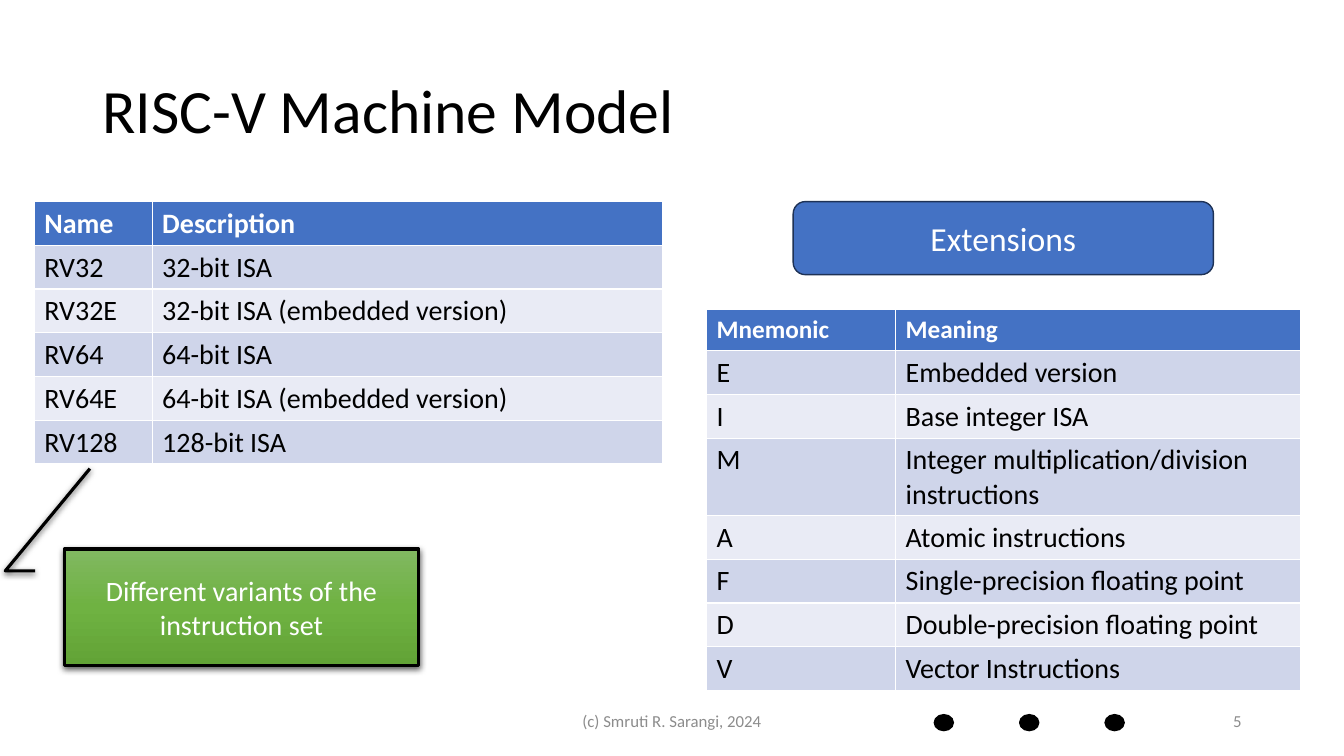
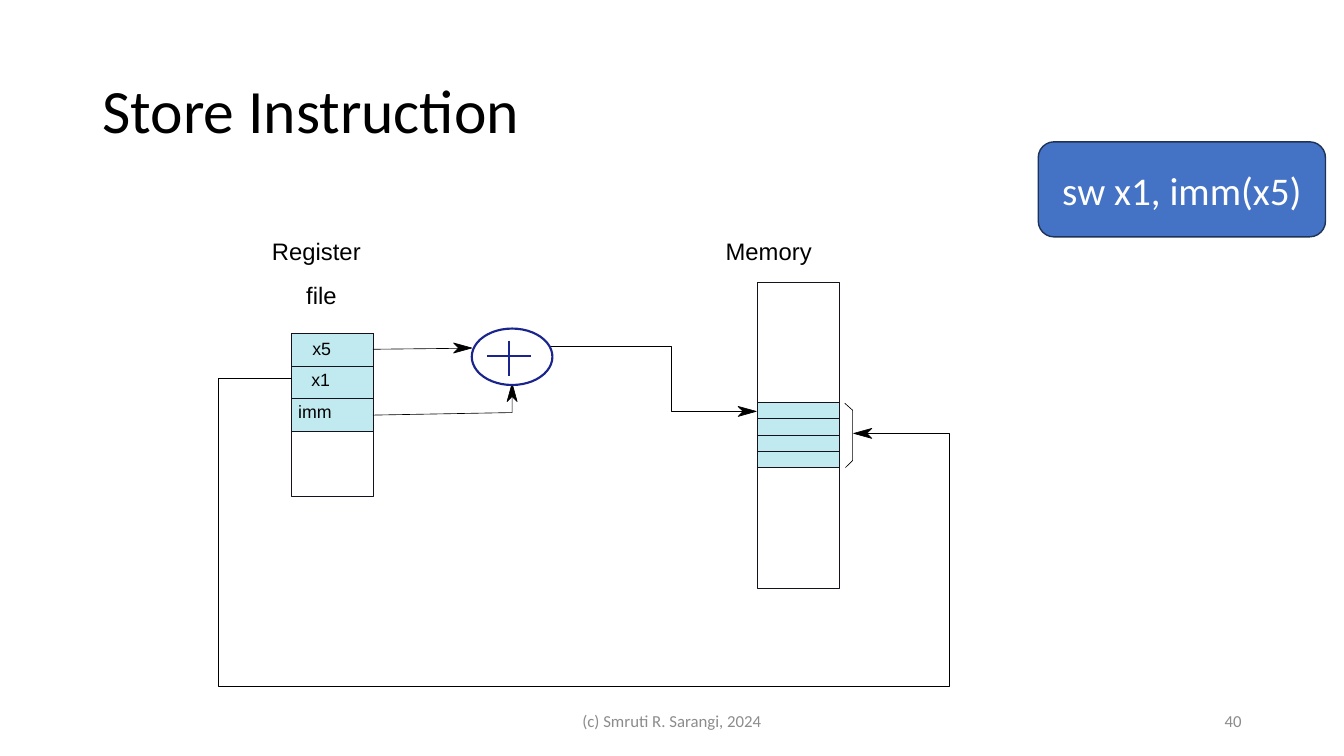
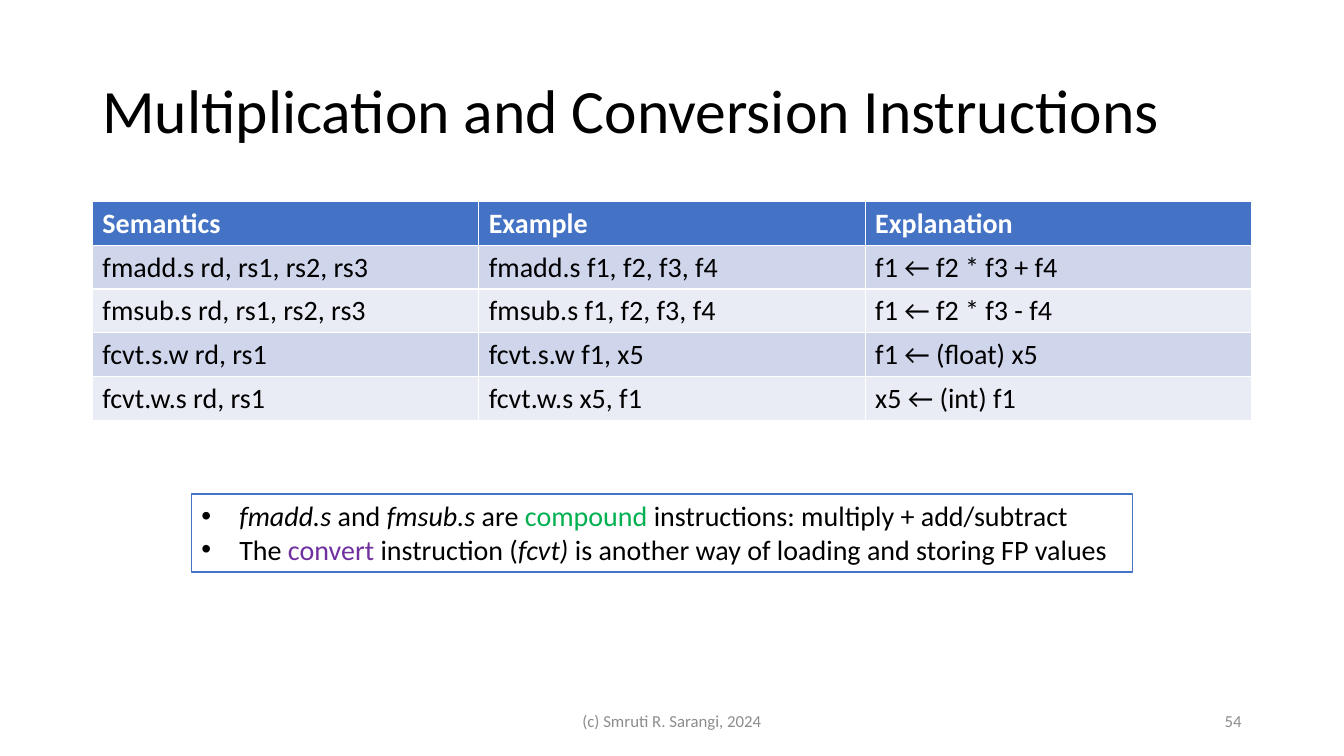
"""Build three lecture slides on the RISC-V instruction set."""
from dataclasses import dataclass

from pptx import Presentation
from pptx.dml.color import RGBColor
from pptx.enum.shapes import MSO_CONNECTOR, MSO_SHAPE
from pptx.enum.text import MSO_ANCHOR, PP_ALIGN
from pptx.oxml import parse_xml
from pptx.oxml.ns import nsdecls, qn
from pptx.util import Pt

LEFT, CENTER, RIGHT = PP_ALIGN.LEFT, PP_ALIGN.CENTER, PP_ALIGN.RIGHT
TOP, MIDDLE = MSO_ANCHOR.TOP, MSO_ANCHOR.MIDDLE
RECT, ROUNDED, OVAL = MSO_SHAPE.RECTANGLE, MSO_SHAPE.ROUNDED_RECTANGLE, MSO_SHAPE.OVAL
CALLOUT = MSO_SHAPE.LINE_CALLOUT_2
STRAIGHT = MSO_CONNECTOR.STRAIGHT


@dataclass(frozen=True)
class Theme:
    """Colours, fonts and type sizes."""
    font: str = "Calibri"
    diagram_font: str = "Arial"
    black: str = "000000"
    white: str = "FFFFFF"
    grey: str = "8C8C8C"
    blue: str = "4472C4"
    blue_edge: str = "1E3256"
    bands: tuple = ("CFD5EA", "E9EBF5")
    cell: str = "C1EAF0"
    cell_edge: str = "15111D"
    adder: str = "19258D"
    green: str = "00B050"
    purple: str = "7030A0"
    callout: tuple = ((0, "81B861"), (50, "6FB242"), (100, "62A336"))
    title: float = 44
    command: float = 28
    heading: float = 24
    body: float = 20
    small_header: float = 18
    diagram_label: float = 17
    register: float = 12.7
    footer: float = 12
    hairline: float = 0.45
    adder_line: float = 1.52


T = Theme()

FOOTER = "(c) Smruti R. Sarangi, 2024"
MODEL = {"title": "RISC-V Machine Model", "number": "5"}
STORE = {"title": "Store Instruction", "number": "40"}
CONVERSION = {"title": "Multiplication and Conversion Instructions", "number": "54"}

VARIANTS = [
    ("Name", "Description"),
    ("RV32", "32-bit ISA"),
    ("RV32E", "32-bit ISA (embedded version)"),
    ("RV64", "64-bit ISA"),
    ("RV64E", "64-bit ISA (embedded version)"),
    ("RV128", "128-bit ISA"),
]
VARIANTS_NOTE = "Different variants of the instruction set"
VARIANTS_POINTER = (0.188, -0.083, 0.188, -0.167, -0.692, 0.072)
EXTENSIONS = [
    ("Mnemonic", "Meaning"),
    ("E", "Embedded version"),
    ("I", "Base integer ISA"),
    ("M", "Integer multiplication/division instructions"),
    ("A", "Atomic instructions"),
    ("F", "Single-precision floating point"),
    ("D", "Double-precision floating point"),
    ("V", "Vector Instructions"),
]
FP_INSTRUCTIONS = [
    ("Semantics", "Example", "Explanation"),
    ("fmadd.s rd, rs1, rs2, rs3", "fmadd.s f1, f2, f3, f4", "f1 ← f2 * f3 + f4"),
    ("fmsub.s rd, rs1, rs2, rs3", "fmsub.s f1, f2, f3, f4", "f1 ← f2 * f3 - f4"),
    ("fcvt.s.w rd, rs1", "fcvt.s.w f1, x5", "f1 ← (float) x5"),
    ("fcvt.w.s rd, rs1", "fcvt.w.s x5, f1", "x5 ← (int) f1"),
]
ITALIC, GREEN, PURPLE = {"italic": True}, {"color": T.green}, {"color": T.purple}
FP_NOTES = [
    [("fmadd.s", ITALIC), (" and ", {}), ("fmsub.s", ITALIC), (" are ", {}),
     ("compound", GREEN), (" instructions: multiply + add/subtract", {})],
    [("The ", {}), ("convert", PURPLE), (" instruction (", {}), ("fcvt) ", ITALIC),
     ("is another way of loading and storing FP values", {})],
]

DIAGRAM_LABELS = [
    ("Register", (187.2, 165.6, 126, 39.6), T.diagram_label),
    ("file", (211.7, 197.3, 56, 39.6), T.diagram_label),
    ("Memory", (511.2, 165.6, 126, 39.6), T.diagram_label),
    ("x5", (216, 237.6, 41, 29.5), T.register),
    ("x1", (215.3, 260, 41, 29.5), T.register),
    ("imm", (205.9, 283, 60, 29.5), T.register),
]
REGISTER_FILE = {"frame": (208.4, 238.3, 58, 116), "first": 238.3, "height": 23.2, "count": 3}
MEMORY = {"frame": (540.9, 201.6, 58.4, 219), "first": 287.3, "height": 11.7, "count": 4}
ADDER = (337, 234.7, 57.6, 40.3)
PLUS = [[(347.8, 254.5), (379.4, 254.5)], [(363.4, 243.4), (363.4, 268.6)]]
WIRES = [
    [(266.4, 249.5), (328, 248.8)],
    [(266.4, 296.5), (365.8, 294.7), (365.8, 281)],
    [(391, 247.6), (479.5, 247.6), (479.5, 293.9), (531, 293.9)],
    [(619.2, 309.6), (678.2, 309.6), (678.2, 490), (156.2, 490), (156.2, 270), (208.4, 270)],
    [(603.4, 288), (609, 293), (609, 329), (603.9, 334)],
]
ARROW_TIPS = [
    ((337, 248.6), (1, 0)),
    ((365.8, 273.8), (0, -1)),
    ((540.2, 293.9), (1, 0)),
    ((609.8, 309.6), (-1, 0)),
]


def rgb(color):
    return RGBColor.from_string(color)


def add_run(paragraph, text, size, color=T.black, font=T.font, bold=False, italic=False):
    run = paragraph.add_run()
    run.text = text
    run.font.name, run.font.size = font, Pt(size)
    run.font.bold, run.font.italic = bold, italic
    run.font.color.rgb = rgb(color)


def write(frame, text, size, align=LEFT, anchor=MIDDLE, **style):
    frame.word_wrap = True
    frame.vertical_anchor = anchor
    paragraph = frame.paragraphs[0]
    paragraph.alignment = align
    add_run(paragraph, text, size, **style)
    return paragraph


def add_label(slide, box, text, size, **options):
    label = slide.shapes.add_textbox(*map(Pt, box))
    return write(label.text_frame, text, size, **options)


def paint(shape, fill, edge, width):
    shape.shadow.inherit = False
    if fill:
        shape.fill.solid()
        shape.fill.fore_color.rgb = rgb(fill)
    else:
        shape.fill.background()
    shape.line.color.rgb = rgb(edge)
    shape.line.width = Pt(width)
    return shape


def add_block(slide, kind, box, fill, edge, width=1):
    return paint(slide.shapes.add_shape(kind, *map(Pt, box)), fill, edge, width)


def add_badge(slide, box, text, size):
    badge = add_block(slide, ROUNDED, box, T.blue, T.blue_edge)
    write(badge.text_frame, text, size, CENTER, color=T.white)


def add_outline(slide, points, closed, fill, edge, width):
    points = [(Pt(x), Pt(y)) for x, y in points]
    builder = slide.shapes.build_freeform(*points[0], scale=1.0)
    builder.add_line_segments(points[1:], close=closed)
    paint(builder.convert_to_shape(), fill, edge, width)


def add_wire(slide, points, color=T.black, width=T.hairline):
    if len(points) > 2:
        add_outline(slide, points, False, None, color, width)
        return
    (x1, y1), (x2, y2) = points
    wire = slide.shapes.add_connector(STRAIGHT, Pt(x1), Pt(y1), Pt(x2), Pt(y2))
    wire.line.color.rgb = rgb(color)
    wire.line.width = Pt(width)
    wire._element.spPr.append(parse_xml(f"<a:effectLst {nsdecls('a')}/>"))


def add_arrow_tip(slide, tip, direction, length=13, notch=9.4, half=3.6):
    (x, y), (dx, dy) = tip, direction
    offsets = [(0, 0), (length, half), (notch, 0), (length, -half)]
    points = [(x - back * dx - side * dy, y - back * dy + side * dx) for back, side in offsets]
    add_outline(slide, points, True, T.black, T.black, T.hairline)


def add_grid(slide, left, top, widths, rows, header_size=T.body, row_height=29.5):
    grid = slide.shapes.add_table(len(rows), len(widths), Pt(left), Pt(top),
                                  Pt(sum(widths)), Pt(row_height * len(rows))).table
    for column, width in zip(grid.columns, widths):
        column.width = Pt(width)
    for r, row in enumerate(rows):
        header = r == 0
        for c, text in enumerate(row):
            cell = grid.cell(r, c)
            cell.fill.solid()
            cell.fill.fore_color.rgb = rgb(T.blue if header else T.bands[(r - 1) % 2])
            add_run(cell.text_frame.paragraphs[0], text, header_size if header else T.body,
                    T.white if header else T.black, bold=header)


def add_callout(slide, box, text):
    callout = slide.shapes.add_shape(CALLOUT, *map(Pt, box))
    for index, value in enumerate(VARIANTS_POINTER):
        callout.adjustments[index] = value
    stops = "".join(f'<a:gs pos="{pos * 1000}"><a:srgbClr val="{color}"/></a:gs>'
                    for pos, color in T.callout)
    properties = callout._element.spPr
    properties.insert(2, parse_xml(
        f"<a:gradFill {nsdecls('a')} rotWithShape=\"1\"><a:gsLst>{stops}</a:gsLst>"
        '<a:lin ang="5400000" scaled="0"/></a:gradFill>'))
    callout.line.color.rgb = rgb(T.black)
    callout.line.width = Pt(2.25)
    callout.shadow.inherit = False
    properties.find(qn("a:effectLst")).append(parse_xml(
        f"<a:outerShdw {nsdecls('a')} blurRad=\"{Pt(4.5)}\" dist=\"{Pt(1.5)}\" dir=\"5400000\" "
        'algn="ctr" rotWithShape="0"><a:srgbClr val="000000"><a:alpha val="63000"/>'
        "</a:srgbClr></a:outerShdw>"))
    write(callout.text_frame, text, T.body, CENTER, color=T.white)


def add_bulleted_box(slide, box, notes):
    panel = add_block(slide, RECT, box, T.white, T.blue)
    frame = panel.text_frame
    frame.word_wrap = True
    frame.vertical_anchor = TOP
    for index, runs in enumerate(notes):
        paragraph = frame.add_paragraph() if index else frame.paragraphs[0]
        paragraph.alignment = LEFT
        properties = paragraph._p.get_or_add_pPr()
        properties.set("marL", str(Pt(27)))
        properties.set("indent", str(Pt(-27)))
        properties.append(parse_xml(f"<a:buFont {nsdecls('a')} typeface=\"Arial\"/>"))
        properties.append(parse_xml(f"<a:buChar {nsdecls('a')} char=\"•\"/>"))
        for text, style in runs:
            add_run(paragraph, text, T.body, **style)


def add_storage(slide, storage):
    left, _, width, _ = storage["frame"]
    for index in range(storage["count"]):
        top = storage["first"] + index * storage["height"]
        add_block(slide, RECT, (left, top, width, storage["height"]),
                  T.cell, T.cell_edge, T.hairline)
    add_block(slide, RECT, storage["frame"], None, T.cell_edge, T.hairline)


def start_slide(deck, title, number):
    slide = deck.slides.add_slide(deck.slide_layouts[6])
    add_label(slide, (66, 28.75, 828, 104.4), title, T.title).line_spacing = 0.9
    add_label(slide, (318, 500.5, 324, 28.75), FOOTER, T.footer, align=CENTER, color=T.grey)
    add_label(slide, (678, 500.5, 216, 28.75), number, T.footer, align=RIGHT, color=T.grey)
    return slide


def build_model(deck):
    slide = start_slide(deck, **MODEL)
    add_grid(slide, 24.5, 144, (84.2, 364.3), VARIANTS)
    add_grid(slide, 504.7, 221, (135, 289.5), EXTENSIONS, T.small_header)
    add_callout(slide, (46, 392.2, 253, 83), VARIANTS_NOTE)
    add_badge(slide, (566.6, 144, 300.2, 52.2), "Extensions", T.heading)
    for index in range(3):
        add_block(slide, OVAL, (667.4 + 61 * index, 510.5, 13.6, 11.4), T.black, T.black)


def build_store(deck):
    slide = start_slide(deck, **STORE)
    for storage in (REGISTER_FILE, MEMORY):
        add_storage(slide, storage)
    for points in WIRES:
        add_wire(slide, points)
    for tip, direction in ARROW_TIPS:
        add_arrow_tip(slide, tip, direction)
    add_block(slide, OVAL, ADDER, T.white, T.adder, T.adder_line)
    for points in PLUS:
        add_wire(slide, points, T.adder, T.adder_line)
    for text, box, size in DIAGRAM_LABELS:
        add_label(slide, box, text, size, anchor=TOP, font=T.diagram_font)
    add_badge(slide, (741.6, 101.3, 205.2, 67.9), "sw x1, imm(x5)", T.command)


def build_conversion(deck):
    slide = start_slide(deck, **CONVERSION)
    add_grid(slide, 66, 144, (276, 276, 276), FP_INSTRUCTIONS)
    add_bulleted_box(slide, (136.8, 352.8, 672, 55.7), FP_NOTES)


def main():
    deck = Presentation()
    deck.slide_width, deck.slide_height = Pt(960), Pt(540)
    for build in (build_model, build_store, build_conversion):
        build(deck)
    deck.save("out.pptx")


if __name__ == "__main__":
    main()
